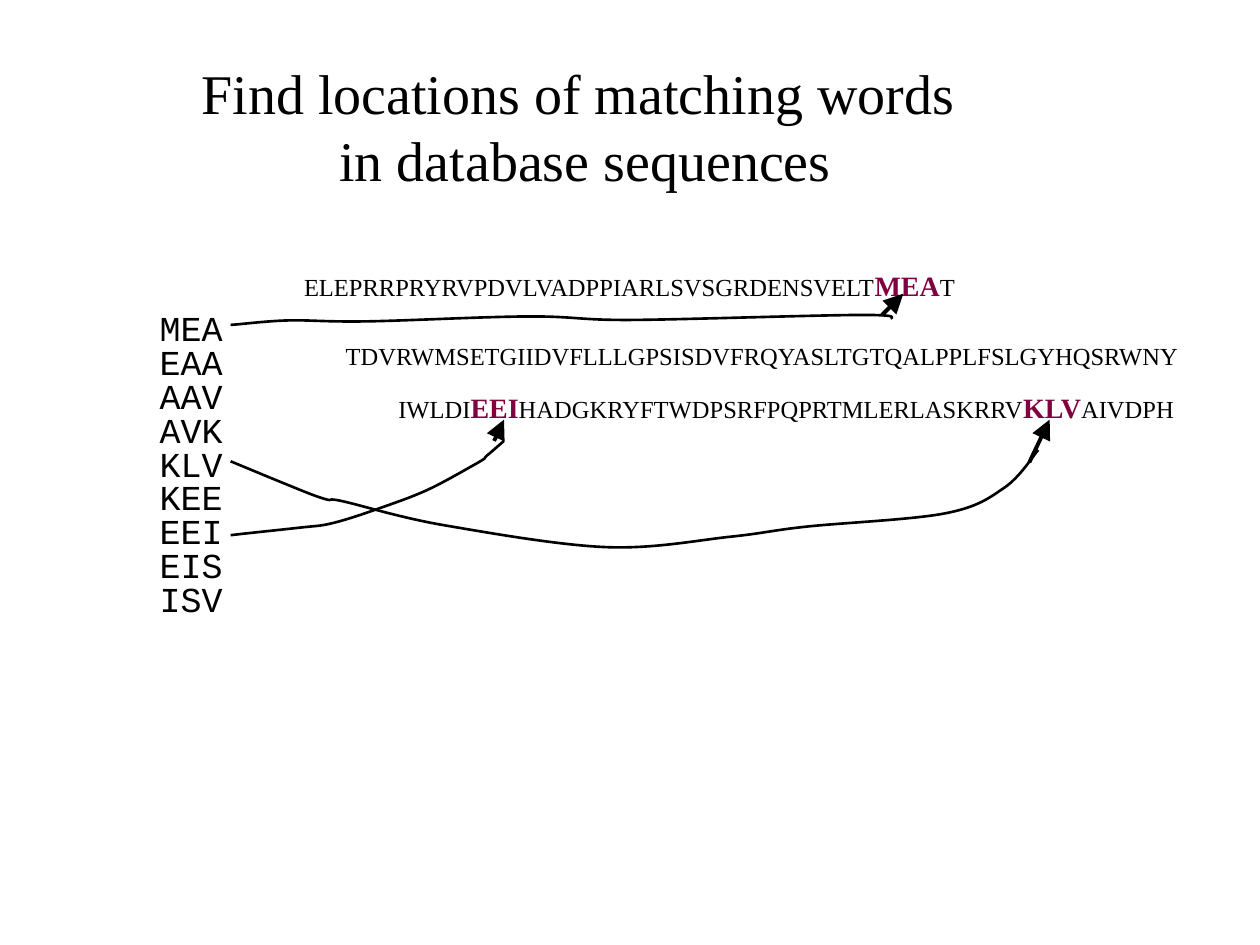
import pptx
import pptx.dml.color
import pptx.enum.shapes
import pptx.enum.text
import pptx.oxml.ns
import pptx.util
from lxml import etree

Cm = pptx.util.Cm
Pt = pptx.util.Pt
qn = pptx.oxml.ns.qn

BLACK = "000000"
MATCH = "800040"
SERIF = "Times New Roman"
MONO = "Courier New"

TITLE = "Find locations of matching words \vin database sequences"
WORDS = ["MEA", "EAA", "AAV", "AVK", "KLV", "KEE", "EEI", "EIS", "ISV"]
SEQUENCES = [
    ((5.88, 5.28, 13.84, 0.94),
     ["ELEPRRPRYRVPDVLVADPPIARLSVSGRDENSVELT", "MEA", "T"]),
    ((6.72, 6.76, 17.45, 0.86),
     ["TDVRWMSETGIIDVFLLLGPSISDVFRQYASLTGTQALPPLFSLGYHQSRWNY"]),
    ((7.78, 7.75, 16.28, 0.94),
     ["IWLDI", "EEI", "HADGKRYFTWDPSRFPQPRTMLERLASKRRV", "KLV", "AIVDPH"]),
]

LIST_BOX = (1.7, 6.35, 4.01, 6.25)
LIST_INDENT = 1.27
WORD_RIGHT = 2.95
FIRST_ROW = 0.32
ROW_PITCH = 0.69

LINKS = {
    "KLV": {
        "curve": [(0, -0.13), (1.04, 0.3), (1.9, 0.63), (2.28, 0.68),
                  (4.31, 1.16), (7.56, 1.6), (10.08, 1.39), (11.58, 1.19),
                  (14.4, 0.92), (15.6, 0.4), (16.28, -0.36)],
        "arrow": [(16.1, -0.11), (16.51, -0.97)],
    },
    "EEI": {
        "curve": [(0, -0.02), (1.37, -0.17), (2.08, -0.27), (3.02, -0.57),
                  (3.96, -0.93), (5, -1.49), (5.16, -1.62), (5.51, -1.92)],
        "arrow": [(5.31, -1.92), (5.51, -2.35)],
    },
    "MEA": {
        "curve": [(0, -0.12), (1.17, -0.21), (2.69, -0.19), (6.07, -0.29),
                  (8.15, -0.22), (12.75, -0.32), (13.34, -0.24)],
        "arrow": [(13.13, -0.32), (13.56, -0.75)],
    },
}


def rgb(color):
    return pptx.dml.color.RGBColor.from_string(color)


def style_run(r, font, size, color=BLACK, bold=False):
    r.font.name = font
    r.font.size = Pt(size)
    r.font.bold = bold
    r.font.color.rgb = rgb(color)


def style_line(line, width):
    line.color.rgb = rgb(BLACK)
    line.width = Pt(width)


def add_text_frame(s, box, wrap=False):
    tf = s.shapes.add_textbox(*map(Cm, box)).text_frame
    tf.word_wrap = wrap
    tf.auto_size = pptx.enum.text.MSO_AUTO_SIZE.SHAPE_TO_FIT_TEXT
    return tf


def add_title(s, box):
    tf = add_text_frame(s, box)
    tf.text = TITLE
    p = tf.paragraphs[0]
    p.alignment = pptx.enum.text.PP_ALIGN.CENTER
    for r in p.runs:
        style_run(r, SERIF, 32)


def add_sequence(s, box, parts):
    p = add_text_frame(s, box).paragraphs[0]
    for part in parts:
        r = p.add_run()
        r.text = part
        if part in WORDS:
            style_run(r, SERIF, 16, MATCH, True)
        else:
            style_run(r, SERIF, 14)


def add_word_list(s, box):
    tf = add_text_frame(s, box, wrap=True)
    tf.text = "\n".join(WORDS)
    for p in tf.paragraphs:
        p.level = 1
        p.line_spacing = 0.6
        p.space_before = Pt(5)
        pPr = p._p.get_or_add_pPr()
        pPr.set("marL", str(Cm(LIST_INDENT)))
        pPr.set("indent", "0")
        style_run(p.runs[0], MONO, 20)


def smooth_controls(knots):
    padded = [knots[0], *knots, knots[-1]]
    controls = []
    for before, start, end, after in zip(padded, padded[1:], padded[2:], padded[3:]):
        leave = [a + (b - c) / 6 for a, b, c in zip(start, end, before)]
        arrive = [b - (d - a) / 6 for a, b, d in zip(start, end, after)]
        controls += [leave, arrive, end]
    return controls


def add_curve(s, knots):
    points = [(x * 100, y * 100) for x, y in [knots[0], *smooth_controls(knots)]]
    builder = s.shapes.build_freeform(*points[0], scale=Cm(0.01))
    builder.add_line_segments(points[1:], close=False)
    sp = builder.convert_to_shape()
    sp.shadow.inherit = False
    sp.fill.background()
    style_line(sp.line, 1.5)
    segments = sp._element.xpath(".//a:lnTo")
    for i in range(0, len(segments), 3):
        bezier = etree.SubElement(segments[i].getparent(), qn("a:cubicBezTo"))
        for segment in segments[i:i + 3]:
            bezier.append(segment[0])
            segment.getparent().remove(segment)


def add_arrow(s, start, end):
    straight = pptx.enum.shapes.MSO_CONNECTOR.STRAIGHT
    arrow = s.shapes.add_connector(straight, *map(Cm, (*start, *end)))
    style_line(arrow.line, 2.25)
    head = etree.SubElement(arrow.line._get_or_add_ln(), qn("a:tailEnd"))
    for name, value in (("type", "triangle"), ("w", "lg"), ("len", "lg")):
        head.set(name, value)
    etree.SubElement(arrow._element.spPr, qn("a:effectLst"))


def add_link(s, list_box, word, link):
    left = list_box[0] + WORD_RIGHT
    row = list_box[1] + FIRST_ROW + WORDS.index(word) * ROW_PITCH
    curve, arrow = ([(left + x, row + y) for x, y in link[part]]
                    for part in ("curve", "arrow"))
    add_curve(s, curve)
    add_arrow(s, *arrow)


def main():
    prs = pptx.Presentation()
    prs.slide_width, prs.slide_height = Cm(25.4), Cm(19.05)
    s = prs.slides.add_slide(prs.slide_layouts[6])
    add_title(s, (3.81, 1.05, 15.98, 2.97))
    for box, parts in SEQUENCES:
        add_sequence(s, box, parts)
    add_word_list(s, LIST_BOX)
    for word, link in LINKS.items():
        add_link(s, LIST_BOX, word, link)
    prs.save("out.pptx")


if __name__ == "__main__":
    main()
